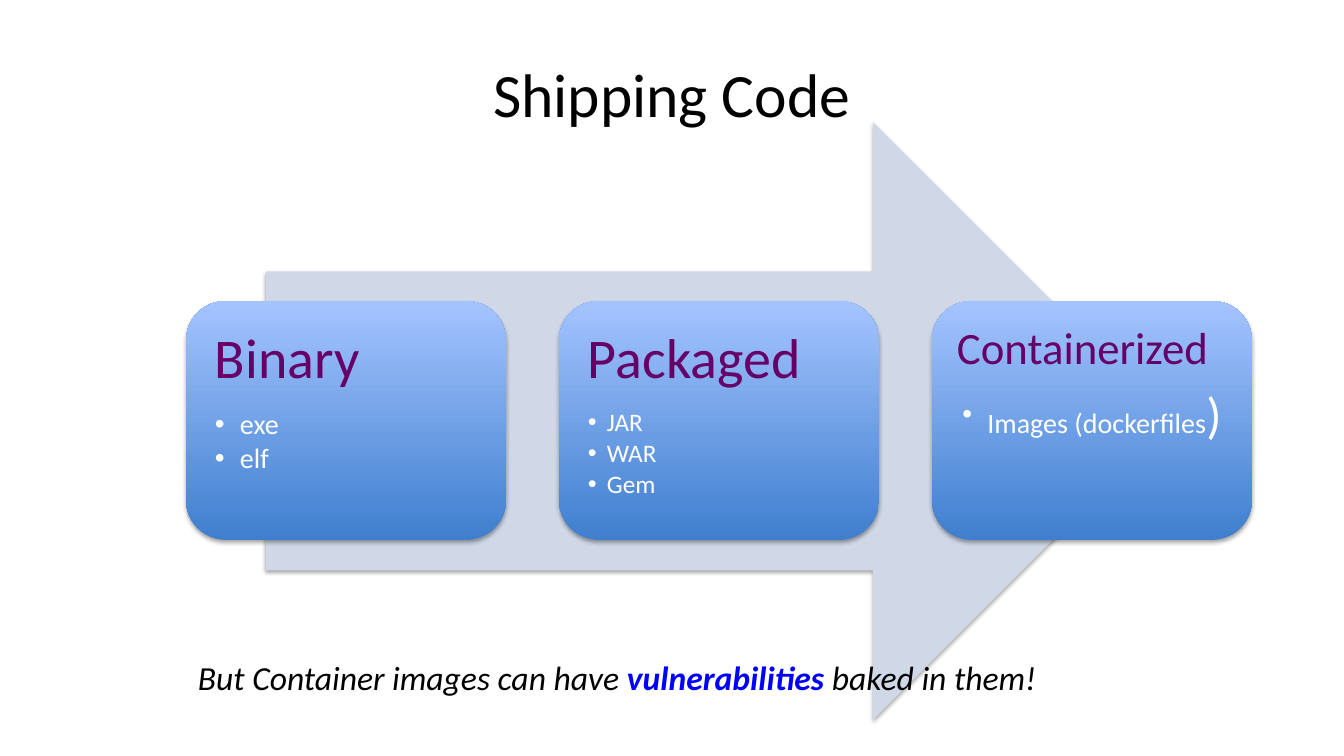
from dataclasses import dataclass

from lxml.etree import SubElement as Sub
from pptx import Presentation
from pptx.dml.color import RGBColor as Rgb
from pptx.enum.shapes import MSO_SHAPE as Kind
from pptx.enum.text import MSO_ANCHOR as Anchor
from pptx.enum.text import MSO_AUTO_SIZE as Fit
from pptx.enum.text import PP_ALIGN as Align
from pptx.oxml.ns import qn
from pptx.util import Inches, Pt

SCALE = Inches(1) / 100.8


@dataclass(frozen=True)
class Theme:
    """Hold the colours, font and type sizes of the slide."""

    font: str = "Calibri"
    ink: str = "000000"
    light: str = "FFFFFF"
    head: str = "660066"
    alert: str = "0000FF"
    arrow: str = "D0D8E8"
    low: str = "3F7FCE"
    high: str = "A4C4FF"
    title: int = 44
    note: int = 24
    big: int = 36


LOOK = Theme()

CARDS = [
    {"head": "Binary", "size": 40, "pad": 17, "dent": 25, "align": Align.LEFT,
     "items": [[("exe", 20)], [("elf", 20)]]},
    {"head": "Packaged", "size": 40, "pad": 17, "dent": 19, "align": Align.LEFT,
     "items": [[("JAR", 18)], [("WAR", 18)], [("Gem", 18)]]},
    {"head": "Containerized", "size": 32, "pad": 13, "dent": 25, "align": Align.CENTER,
     "items": [[("Images (dockerfiles", 20), (")", LOOK.big)]]},
]


def px(num):
    """Turn pixels into EMU."""
    return round(num * SCALE)


def apply(item, form):
    """Set each attribute named in a dict."""
    for name, value in form.items():
        setattr(item, name, value)


def write(para, text, size, color, **form):
    """Add a run of formatted text to a paragraph."""
    run = para.add_run()
    run.text = text
    apply(run.font, {"name": LOOK.font, "size": Pt(size), **form})
    run.font.color.rgb = Rgb.from_string(color)


def space(para, after):
    """Set tight lines and a space after in percent."""
    para.line_spacing = 0.9
    gap = Sub(para._p.get_or_add_pPr(), qn("a:spcAft"))
    Sub(gap, qn("a:spcPct"), val=str(after * 1000))


def bullet(para, dent):
    """Give a paragraph a round bullet and a hanging indent."""
    props = para._p.get_or_add_pPr()
    props.set("marL", str(px(dent)))
    props.set("indent", str(-px(dent)))
    Sub(props, qn("a:buFont"), typeface="Arial")
    Sub(props, qn("a:buChar"), char="•")


def shade(shape):
    """Give a shape a soft shadow straight below."""
    shape.shadow.inherit = False
    effect = shape._element.spPr.find(qn("a:effectLst"))
    drop = Sub(effect, qn("a:outerShdw"), blurRad=str(Pt(3.1)), dist=str(Pt(1.8)),
               dir="5400000", rotWithShape="0")
    color = Sub(drop, qn("a:srgbClr"), val=LOOK.ink)
    Sub(color, qn("a:alpha"), val="35000")


def block(slide, kind, box):
    """Add a shadowed shape without an outline."""
    shape = slide.shapes.add_shape(kind, *map(px, box))
    shape.line.fill.background()
    shade(shape)
    return shape


def label(slide, box, **form):
    """Add a text box and return its frame."""
    frame = slide.shapes.add_textbox(*map(px, box)).text_frame
    apply(frame, form)
    return frame


def title(slide):
    """Fill and place the title placeholder."""
    shape = slide.shapes.title
    apply(shape, dict(zip(("left", "top", "width", "height"), map(px, (67, 30, 1210, 126)))))
    frame = shape.text_frame
    apply(frame, {"vertical_anchor": Anchor.MIDDLE, "word_wrap": True})
    para = frame.paragraphs[0]
    para.alignment = Align.CENTER
    write(para, "Shipping Code", LOOK.title, LOOK.ink)


def arrow(slide):
    """Draw the wide arrow behind the cards."""
    fill = block(slide, Kind.RIGHT_ARROW, (266, 122, 906, 598)).fill
    fill.solid()
    fill.fore_color.rgb = Rgb.from_string(LOOK.arrow)


def card(slide, left, data):
    """Draw one gradient card with a heading and a list."""
    fill = block(slide, Kind.ROUNDED_RECTANGLE, (left, 301, 320, 239)).fill
    fill.gradient()
    fill.gradient_angle = 90
    for stop, color in zip(fill.gradient_stops, (LOOK.low, LOOK.high)):
        stop.color.rgb = Rgb.from_string(color)
    sides = ("margin_left", "margin_top", "margin_right", "margin_bottom")
    frame = label(slide, (left + 12, 313, 296, 216), word_wrap=True,
                  **dict.fromkeys(sides, px(data["pad"])))
    head = frame.paragraphs[0]
    space(head, 35)
    write(head, data["head"], data["size"], LOOK.head)
    for item in data["items"]:
        para = frame.add_paragraph()
        apply(para, {"level": 1, "alignment": data["align"]})
        space(para, 15)
        bullet(para, data["dent"])
        for text, size in item:
            write(para, text, size, LOOK.light)


def note(slide):
    """Write the closing remark."""
    frame = label(slide, (188, 652, 882, 50), word_wrap=False,
                  auto_size=Fit.SHAPE_TO_FIT_TEXT)
    para = frame.paragraphs[0]
    for text, color, bold in (
        ("But Container images can have ", LOOK.ink, False),
        ("vulnerabilities", LOOK.alert, True),
        (" baked in them!", LOOK.ink, False),
    ):
        write(para, text, LOOK.note, color, italic=True, bold=bold)


def main():
    """Build the slide and save it."""
    deck = Presentation()
    apply(deck, {"slide_width": px(1344), "slide_height": px(756)})
    slide = deck.slides.add_slide(deck.slide_layouts[5])
    title(slide)
    arrow(slide)
    for num, data in enumerate(CARDS):
        card(slide, 186 + 373 * num, data)
    note(slide)
    deck.save("out.pptx")


if __name__ == "__main__":
    main()
